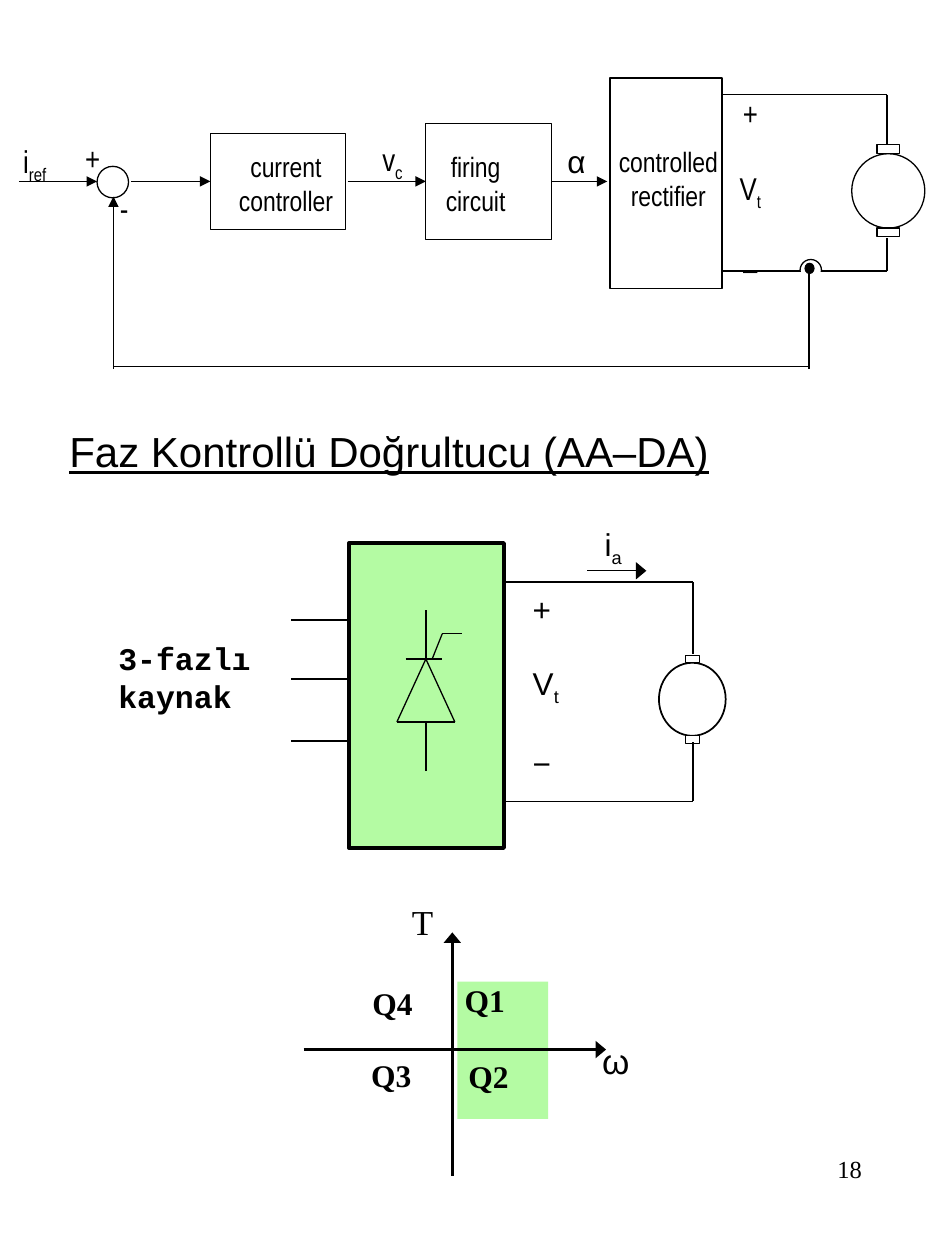
from lxml.etree import SubElement
from pptx import Presentation
from pptx.dml.color import RGBColor
from pptx.enum.shapes import MSO_CONNECTOR as CONN, MSO_SHAPE as SHAPE
from pptx.enum.text import MSO_ANCHOR as ANCHOR, PP_ALIGN as ALIGN
from pptx.oxml.ns import qn
from pptx.util import Pt

BLACK = RGBColor(0x00, 0x00, 0x00)
WHITE = RGBColor(0xFF, 0xFF, 0xFF)
GREEN = RGBColor(0xB4, 0xFB, 0xA3)
PX = 9144  # EMU per px, 100 px to the inch

NARROW = {"name": "Arial Narrow", "size": Pt(18)}
BLOCK = {"name": "Arial Narrow", "size": Pt(16)}
SANS = {"name": "Arial", "size": Pt(18)}
MONO = {"name": "Courier New", "size": Pt(18), "bold": True}
SERIF = {"name": "Times New Roman", "size": Pt(20)}
QUADRANT = {"name": "Times New Roman", "size": Pt(18), "bold": True}
NUMBER = {"name": "Times New Roman", "size": Pt(14)}
TITLE = {"name": "Arial", "size": Pt(24), "underline": True}


def write(frame, text, font, align=ALIGN.LEFT, gap=0):
    """Fill a frame; a newline starts a paragraph, "_" starts a subscript."""
    frame.word_wrap = True
    frame.vertical_anchor = ANCHOR.TOP
    for i, content in enumerate(text.split("\n")):
        para = frame.add_paragraph() if i else frame.paragraphs[0]
        para.alignment = align
        para.space_before = Pt(gap if i else 0)
        for level, part in enumerate(content.split("_")):
            run = para.add_run()
            run.text = part
            for key, value in font.items():
                setattr(run.font, key, value)
            run.font.color.rgb = BLACK
            if level:
                run._r.get_or_add_rPr().set("baseline", "-25000")


class Panel:
    """A region of the slide; its parts are placed from its top left corner."""

    def __init__(self, slide, left, top):
        self.shapes, self.left, self.top = slide.shapes, left, top

    def at(self, x, y):
        return (self.left + x) * PX, (self.top + y) * PX

    def shape(self, kind, x, y, w, h, fill=WHITE, line=0.75):
        part = self.shapes.add_shape(kind, *self.at(x, y), w * PX, h * PX)
        part.shadow.inherit = False
        part.fill.solid()
        part.fill.fore_color.rgb = fill
        if line:
            part.line.color.rgb = BLACK
            part.line.width = Pt(line)
        else:
            part.line.fill.background()

    def line(self, x1, y1, x2, y2, width=0.75, head=None):
        """Draw a line; head is the arrowhead's width, "med" or "lg"."""
        wire = self.shapes.add_connector(
            CONN.STRAIGHT, *self.at(x1, y1), *self.at(x2, y2))
        wire.line.color.rgb = BLACK
        wire.line.width = Pt(width)
        if head:
            SubElement(wire.line._get_or_add_ln(), qn("a:tailEnd"),
                       type="triangle", w=head)
        SubElement(wire._element.spPr, qn("a:effectLst"))

    def label(self, text, x, y, w, h, font, **layout):
        box = self.shapes.add_textbox(*self.at(x, y), w * PX, h * PX)
        write(box.text_frame, text, font, **layout)

    def motor(self, x, y, w, h, brush_w, brush_h, line):
        self.shape(SHAPE.OVAL, x, y, w, h, line=line)
        for brush_y in (y - brush_h, y + h):
            self.shape(SHAPE.RECTANGLE, x + (w - brush_w) // 2, brush_y,
                       brush_w, brush_h)


def draw_title(slide, left, top, width, height):
    title = slide.shapes.title
    title.left, title.top = left * PX, top * PX
    title.width, title.height = width * PX, height * PX
    write(title.text_frame, "Faz Kontrollü Doğrultucu (AA–DA)", TITLE)


def draw_current_loop(slide, left, top):
    loop = Panel(slide, left, top)

    # Blocks, summing point and motor
    for block in ((484, 0, 89, 167), (338, 36, 100, 92), (167, 44, 107, 76)):
        loop.shape(SHAPE.RECTANGLE, *block)
    loop.shape(SHAPE.OVAL, 77, 70, 25, 25)
    loop.motor(676, 60, 58, 59, 18, 7, 0.75)

    # Signal path
    for start, end in ((15, 77), (104, 167), (276, 338), (438, 482)):
        loop.line(start, 82, end, 82, head="med")

    # Motor wires
    for y, brush_y in ((13, 52), (153, 127)):
        loop.line(704, y, 573, y)
        loop.line(704, y, 704, brush_y)

    # Feedback path with its current sensor
    loop.line(90, 231, 90, 94, head="med")
    loop.line(90, 229, 642, 229)
    loop.shape(SHAPE.OVAL, 635, 144, 17, 17)
    loop.shape(SHAPE.RECTANGLE, 623, 154, 44, 13, line=0)
    loop.shape(SHAPE.OVAL, 639, 147, 7, 8, fill=BLACK)
    loop.line(642, 153, 642, 231)

    # Block names
    for name, *box in (("firing\ncircuit", 338, 52, 79, 67),
                       ("current\ncontroller", 179, 52, 96, 67),
                       ("controlled rectifier", 474, 48, 113, 87)):
        loop.label(name, *box, BLOCK, align=ALIGN.CENTER)

    # Signal names
    for signal, x, y, font in (("α", 430, 46, SANS), ("v_c", 284, 44, NARROW),
                               ("i_ref", 0, 46, NARROW), ("+", 46, 43, NARROW),
                               ("-", 71, 83, NARROW)):
        loop.label(signal, x, y, 55, 51, font, align=ALIGN.CENTER)
    loop.label("+\nV_t\n–", 556, 8, 79, 141, NARROW, align=ALIGN.CENTER, gap=21)


def draw_converter(slide, left, top):
    converter = Panel(slide, left, top)
    converter.shape(SHAPE.RECTANGLE, 193, 19, 123, 242, fill=GREEN, line=2.25)

    # Thyristor: triangle, cathode bar, gate and leads
    for stroke in ((254, 111, 231, 161), (254, 111, 277, 161),
                   (231, 161, 277, 161), (238, 111, 267, 111),
                   (259, 111, 267, 91), (267, 91, 283, 91),
                   (254, 111, 254, 72), (254, 200, 254, 161)):
        converter.line(*stroke)

    # Motor and its wires
    converter.motor(439, 114, 53, 58, 11, 6, 1)
    for y, brush_y in ((50, 107), (224, 177)):
        converter.line(315, y, 466, y)
        converter.line(466, y, 466, brush_y)

    # Three-phase supply
    for y in (80, 127, 176):
        converter.line(147, y, 193, y)
    converter.label("3-fazlı kaynak", 0, 90, 142, 112, MONO)

    # Armature voltage and current
    converter.label("+\nV_t\n−", 329, 51, 60, 164, SANS, gap=21)
    converter.line(382, 41, 429, 41, head="lg")
    converter.label("i_a", 386, 0, 53, 44, SANS)


def draw_quadrants(slide, left, top):
    plane = Panel(slide, left, top)

    # Working quadrants, then the axes over them
    for y in (124, 69):
        plane.shape(SHAPE.RECTANGLE, 122, y, 72, 54, fill=GREEN, line=0)
    plane.line(118, 223, 118, 30, width=1.5, head="lg")
    plane.line(0, 123, 240, 123, width=1.5, head="lg")
    plane.label("T", 76, 0, 86, 44, SERIF)
    plane.label("ω", 227, 110, 86, 44, {**SANS, "size": Pt(20)})

    # Quadrant names
    for name, x, y, align in (("Q1", 118, 64, ALIGN.LEFT),
                              ("Q2", 121, 124, ALIGN.LEFT),
                              ("Q3", 21, 123, ALIGN.CENTER),
                              ("Q4", 22, 66, ALIGN.CENTER)):
        plane.label(name, x, y, 97, 50, QUADRANT, align=align)


def main():
    prs = Presentation()
    prs.slide_width, prs.slide_height = 750 * PX, 1000 * PX
    slide = prs.slides.add_slide(prs.slide_layouts[5])
    draw_title(slide, 45, 333, 661, 50)
    draw_quadrants(slide, 241, 710)
    draw_converter(slide, 84, 412)
    draw_current_loop(slide, 0, 62)
    Panel(slide, 538, 911).label("18", 0, 0, 156, 67, NUMBER, align=ALIGN.RIGHT)
    prs.save("out.pptx")


if __name__ == "__main__":
    main()
